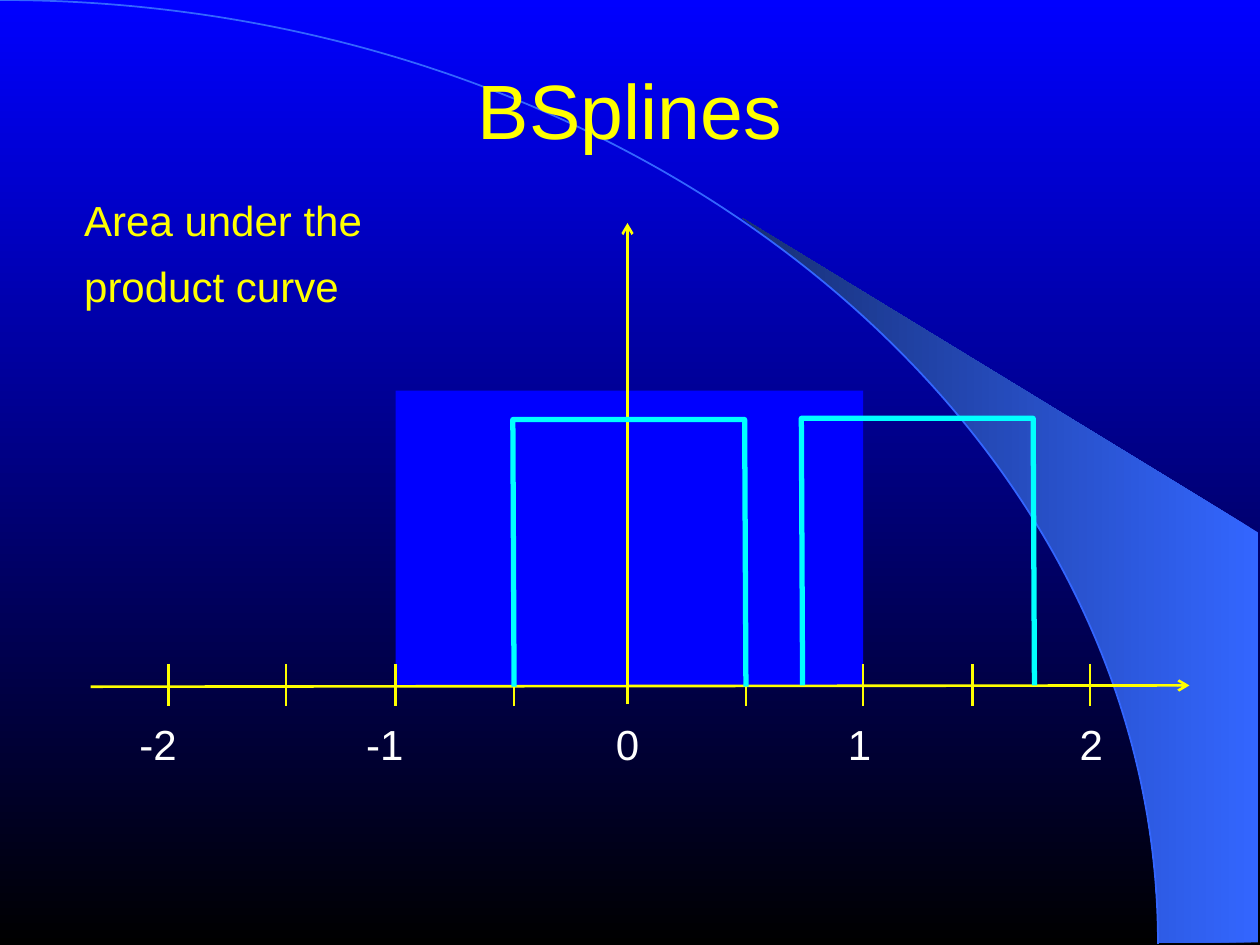
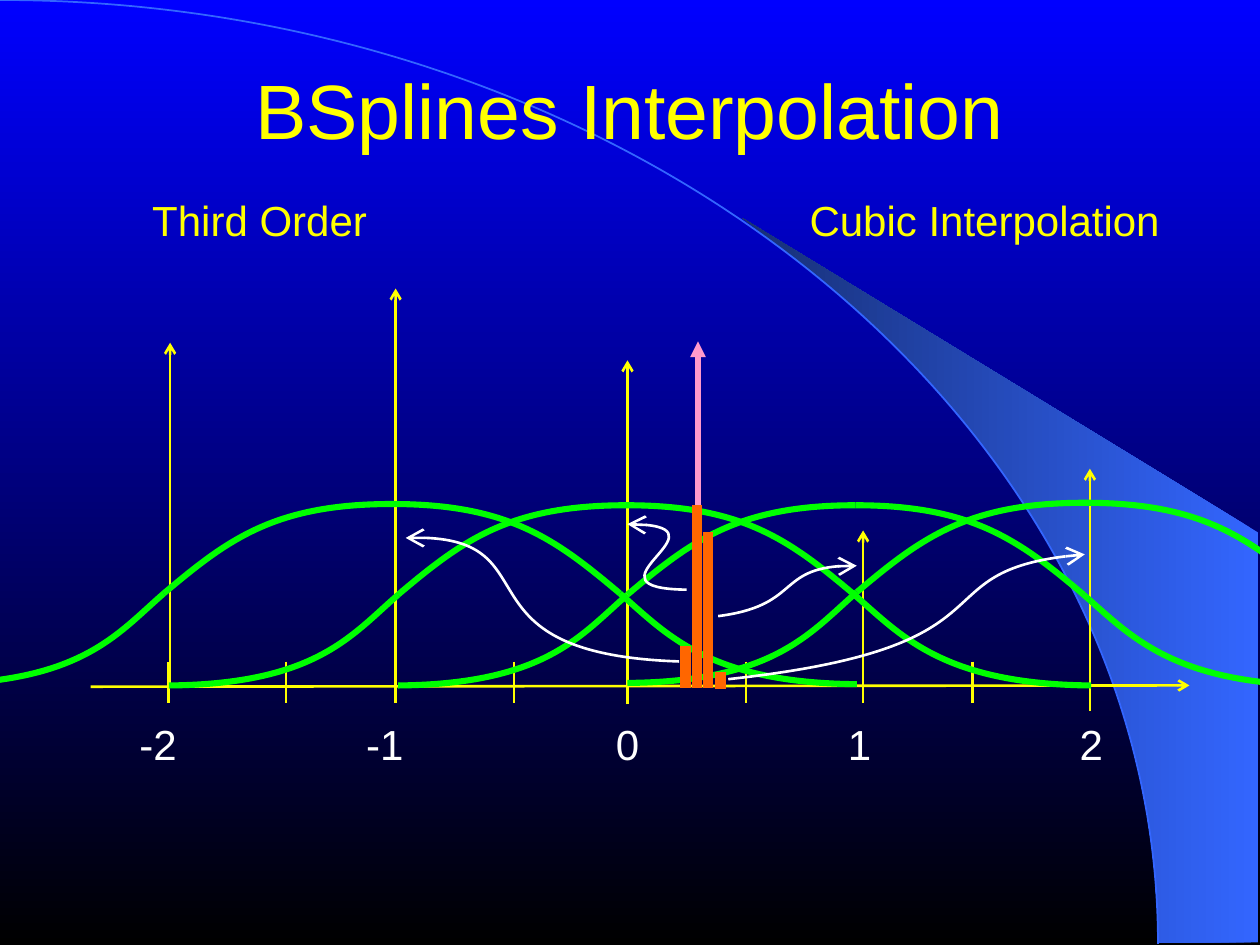
import math

import lxml.etree
import pptx
import pptx.dml.color
import pptx.enum.shapes
import pptx.enum.text
import pptx.oxml.ns
import pptx.util

Inches = pptx.util.Inches
Pt = pptx.util.Pt
RGBColor = pptx.dml.color.RGBColor
qn = pptx.oxml.ns.qn
STRAIGHT = pptx.enum.shapes.MSO_CONNECTOR.STRAIGHT
CENTER = pptx.enum.text.PP_ALIGN.CENTER
LEFT = pptx.enum.text.PP_ALIGN.LEFT

FONT = "Arial"
BLUE = RGBColor(0x00, 0x00, 0xFF)
BLACK = RGBColor(0x00, 0x00, 0x00)
SKY = RGBColor(0x33, 0x66, 0xFF)
NAVY = RGBColor(0x17, 0x2F, 0x75)
YELLOW = RGBColor(0xFF, 0xFF, 0x00)
WHITE = RGBColor(0xFF, 0xFF, 0xFF)
CYAN = RGBColor(0x00, 0xFF, 0xFF)
GREEN = RGBColor(0x00, 0xFF, 0x00)
PINK = RGBColor(0xFF, 0x99, 0xCC)
ORANGE = RGBColor(0xFF, 0x66, 0x00)


def style_line(shape, color, width, arrow=None, size="med"):
    """Colour the outline, drop the shadow and set an arrowhead at the end."""
    shape.line.color.rgb = color
    shape.line.width = Pt(width)
    properties = shape.element.spPr
    if arrow:
        outline = properties.find(qn("a:ln"))
        lxml.etree.SubElement(outline, qn("a:tailEnd"), type=arrow, w=size, len=size)
    lxml.etree.SubElement(properties, qn("a:effectLst"))


def add_path(page, points, curved=False):
    """Draw an open path; curved takes start, two control points and end."""
    corners = [(Inches(x), Inches(y)) for x, y in points]
    builder = page.shapes.build_freeform(*corners[0])
    builder.add_line_segments(corners[1:], close=False)
    shape = builder.convert_to_shape()
    shape.fill.background()
    if curved:
        path = next(shape.element.iter(qn("a:path")))
        bezier = lxml.etree.SubElement(path, qn("a:cubicBezTo"))
        for segment in path.findall(qn("a:lnTo")):
            bezier.append(segment[0])
            path.remove(segment)
    return shape


deck = pptx.Presentation()
deck.slide_width = Inches(10)
deck.slide_height = Inches(7.5)
master = deck.slide_master
title_only = deck.slide_layouts[5]

# Pages with their titles
pages = []
for title_text in ("BSplines", "BSplines Interpolation"):
    page = deck.slides.add_slide(title_only)
    title = page.shapes.title
    title.left, title.top = Inches(0.75), Inches(0.11)
    title.width, title.height = Inches(8.5), Inches(1.51)
    frame = title.text_frame
    frame.text = title_text
    frame.vertical_anchor = pptx.enum.text.MSO_ANCHOR.MIDDLE
    frame.margin_left = frame.margin_right = frame.margin_top = frame.margin_bottom = 0
    frame.paragraphs[0].alignment = CENTER
    span = frame.paragraphs[0].runs[0]
    span.font.name, span.font.size = FONT, Pt(44)
    span.font.color.rgb = YELLOW
    pages.append(page)
area_page, interpolation_page = pages

# Shared backdrop: a sail beside a quarter ellipse, moved to the master
ARC_WIDTH, ARC_HEIGHT = 9.19, 7.49
KAPPA = 0.55
sail_points = [(9.19, 7.48), (9.99, 7.48), (9.99, 4.23), (5.89, 1.73)]
for degrees in range(42, 91, 2):
    angle = math.radians(degrees)
    sail_points.append((ARC_WIDTH * math.sin(angle), ARC_HEIGHT * (1 - math.cos(angle))))
sail = add_path(area_page, sail_points)
sail.line.fill.background()
sail.shadow.inherit = False
arc = add_path(
    area_page,
    [(0, 0), (ARC_WIDTH * KAPPA, 0), (ARC_WIDTH, ARC_HEIGHT * (1 - KAPPA)), (ARC_WIDTH, ARC_HEIGHT)],
    curved=True,
)
style_line(arc, SKY, 1)
for fill, colors, angle in (
    (master.background.fill, (BLUE, BLACK), 270),
    (sail.fill, (SKY, NAVY), 180),
):
    fill.gradient()
    fill.gradient_angle = angle
    for position, (stop, color) in enumerate(zip(fill.gradient_stops, colors)):
        stop.color.rgb = color
        stop.position = position
for index, shape in enumerate((sail, arc)):
    shape.element.nvSpPr.cNvPr.set("id", str(101 + index))
    master.shapes.element.insert(2 + index, shape.element)

# Area page: support of the product behind the axes
support = area_page.shapes.add_shape(
    pptx.enum.shapes.MSO_SHAPE.RECTANGLE, Inches(3.14), Inches(3.1), Inches(3.71), Inches(2.35)
)
support.fill.solid()
support.fill.fore_color.rgb = BLUE
support.line.fill.background()
support.shadow.inherit = False

# Axes, ticks and labels of both pages
TICKS = (1.34, 2.27, 3.14, 4.08, 5.92, 6.85, 7.72, 8.65)
NUMBERS = (("-2", 0.98, 0.55), ("-1", 2.78, 0.55), ("0", 4.79, 0.38), ("1", 6.63, 0.38), ("2", 8.47, 0.38))
# Each sample is x, base and tip of a vertical arrow
area_samples = [(4.98, 5.59, 1.77)]
interpolation_samples = [
    (4.98, 5.59, 2.86),
    (6.85, 5.45, 4.21),
    (8.65, 5.45, 3.72),
    (3.14, 5.45, 2.29),
    (1.35, 5.44, 2.72),
]
area_captions = [("Area under the\nproduct curve", 0.57, 2.74, 0.95, LEFT)]
interpolation_captions = [
    ("Third Order", 0.57, 2.98, 0.42, CENTER),
    ("Cubic Interpolation", 5.95, 3.73, 0.42, CENTER),
]
for page, samples, tick_tops, captions in (
    (area_page, area_samples, [5.27] * 8, area_captions),
    (interpolation_page, interpolation_samples, [5.25] * 7 + [5.31], interpolation_captions),
):
    lines = [(0.72, 5.45, 9.44, 5.44, "arrow")]
    lines += [(x, base, x, tip, "arrow") for x, base, tip in samples]
    lines += [(x, top, x, top + 0.33, None) for x, top in zip(TICKS, tick_tops)]
    for x1, y1, x2, y2, arrow in lines:
        line = page.shapes.add_connector(STRAIGHT, Inches(x1), Inches(y1), Inches(x2), Inches(y2))
        style_line(line, YELLOW, 1.5, arrow)

    labels = [(text, left, 5.73, width, 0.42, CENTER, WHITE, False) for text, left, width in NUMBERS]
    labels += [
        (text, left, 1.57, width, height, alignment, YELLOW, True)
        for text, left, width, height, alignment in captions
    ]
    for text, left, top, width, height, alignment, color, wrap in labels:
        box = page.shapes.add_textbox(Inches(left), Inches(top), Inches(width), Inches(height))
        frame = box.text_frame
        frame.text = text
        frame.word_wrap = wrap
        frame.auto_size = pptx.enum.text.MSO_AUTO_SIZE.SHAPE_TO_FIT_TEXT
        for para in frame.paragraphs:
            para.alignment = alignment
            para.line_spacing = 0.8
            para.space_before = Pt(15)
            span = para.runs[0]
            span.font.name, span.font.size = FONT, Pt(24)
            span.font.color.rgb = color

# Area page: the two pulses in front of the ticks
for left, top in ((6.36, 3.32), (4.07, 3.33)):
    pulse = add_path(
        area_page,
        [(left + 0.01, top + 2.12), (left, top), (left + 1.84, top), (left + 1.85, top + 2.12)],
    )
    style_line(pulse, CYAN, 3)

# Cubic B-splines: quarters as offsets from the peak
LEFT_TAIL = ((-1.81, 0.71), (-2.18, 1.03), (-2.46, 1.42), (-3.63, 1.43))
RISE = ((-1.81, 0.71), (-1.3, 0.28), (-0.93, 0), (0, 0))
FALL = ((1.81, 0.71), (1.3, 0.28), (0.93, 0), (0, 0))
RIGHT_TAIL = ((1.81, 0.71), (2.18, 1.03), (2.51, 1.42), (3.69, 1.43))
for peak_x, peak_y, quarters in (
    (4.97, 4.01, (LEFT_TAIL, RISE, FALL, RIGHT_TAIL)),
    (3.11, 4.0, (LEFT_TAIL, RISE, FALL, RIGHT_TAIL)),
    (8.61, 3.99, (LEFT_TAIL, RISE, FALL)),
    (6.79, 4.01, (LEFT_TAIL, RISE, FALL, RIGHT_TAIL)),
):
    for quarter in quarters:
        curve = add_path(interpolation_page, [(peak_x + x, peak_y + y) for x, y in quarter], curved=True)
        style_line(curve, GREEN, 3.5)

# Interpolated sample
result = interpolation_page.shapes.add_connector(
    STRAIGHT, Inches(5.54), Inches(5.43), Inches(5.54), Inches(2.71)
)
style_line(result, PINK, 3, "triangle")

# Weights as bars, each with a curved arrow to its sample
for x, base, top, pointer_points in (
    (5.62, 5.46, 4.22, [(5.7, 4.89), (6.33, 4.81), (6.15, 4.48), (6.8, 4.49)]),
    (5.44, 5.46, 5.13, [(5.39, 5.25), (3.6, 5.19), (4.45, 4.22), (3.22, 4.27)]),
    (5.72, 5.47, 5.33, [(5.78, 5.39), (8.1, 5.14), (7.23, 4.51), (8.61, 4.4)]),
    (5.53, 5.46, 4.01, [(5.45, 4.68), (4.59, 4.67), (5.88, 4.16), (4.98, 4.16)]),
):
    pointer = add_path(interpolation_page, pointer_points, curved=True)
    style_line(pointer, WHITE, 1.5, "arrow", "lg")
    weight = interpolation_page.shapes.add_connector(
        STRAIGHT, Inches(x), Inches(base), Inches(x), Inches(top)
    )
    style_line(weight, ORANGE, 6)

deck.save("out.pptx")
